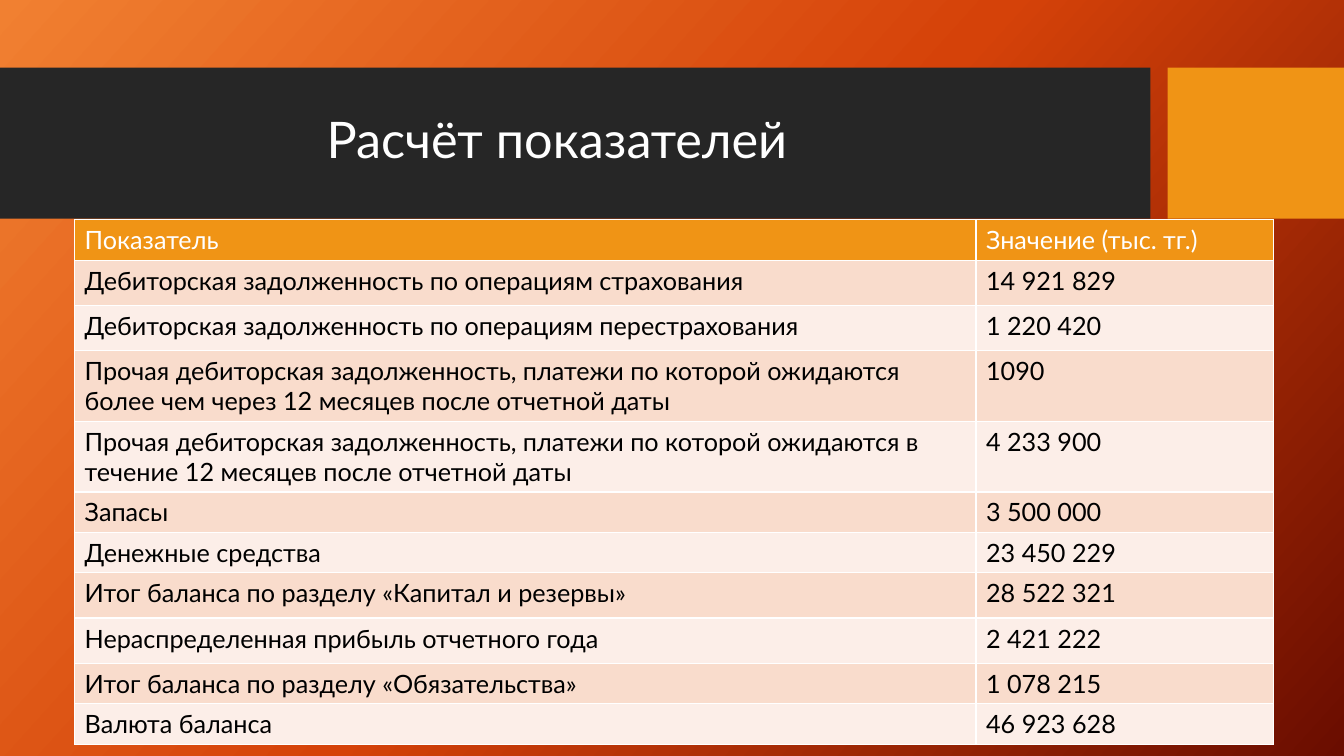
"""Build the slide with the table of balance sheet indicators."""
from copy import deepcopy
from typing import NamedTuple

from lxml.etree import SubElement
from pptx import Presentation
from pptx.dml.color import RGBColor
from pptx.enum.shapes import MSO_SHAPE
from pptx.enum.text import MSO_ANCHOR
from pptx.oxml.ns import qn
from pptx.slide import Slide
from pptx.table import _Cell
from pptx.text.text import _Paragraph
from pptx.util import Inches, Pt

FONT = "Lato"
WHITE = RGBColor(0xFF, 0xFF, 0xFF)
BLACK = RGBColor(0x00, 0x00, 0x00)
CHARCOAL = RGBColor(0x26, 0x26, 0x26)
AMBER = RGBColor(0xF0, 0x94, 0x15)
PEACH = RGBColor(0xF9, 0xDC, 0xCC)
PALE_PEACH = RGBColor(0xFC, 0xEE, 0xE8)
BACKGROUND_STOPS = (
    (0, RGBColor(0xF1, 0x80, 0x31)),
    (0.5, RGBColor(0xD5, 0x42, 0x09)),
    (1, RGBColor(0x6A, 0x0D, 0x00)),
)
COLUMN_WIDTHS = (8.94, 2.95)
COMPACT, MEDIUM, TALL = 0.4, 0.45, 0.7


class Band(NamedTuple):
    """A filled rectangle of the title strip."""

    left: float
    width: float
    color: RGBColor


class Indicator(NamedTuple):
    """A table row: its label, value and height."""

    label: str
    value: str
    height: float


BANDS = (Band(0, 11.41, CHARCOAL), Band(11.58, 1.75, AMBER))
INDICATORS = (
    Indicator("Показатель", "Значение (тыс. тг.)", COMPACT),
    Indicator("Дебиторская задолженность по операциям страхования", "14 921 829", MEDIUM),
    Indicator("Дебиторская задолженность по операциям перестрахования", "1 220 420", MEDIUM),
    Indicator(
        "Прочая дебиторская задолженность, платежи по которой ожидаются "
        "более чем через 12 месяцев после отчетной даты", "1090", TALL),
    Indicator(
        "Прочая дебиторская задолженность, платежи по которой ожидаются "
        "в течение 12 месяцев после отчетной даты", "4 233 900", TALL),
    Indicator("Запасы", "3 500 000", COMPACT),
    Indicator("Денежные средства", "23 450 229", COMPACT),
    Indicator("Итог баланса по разделу «Капитал и резервы»", "28 522 321", MEDIUM),
    Indicator("Нераспределенная прибыль отчетного года", "2 421 222", MEDIUM),
    Indicator("Итог баланса по разделу «Обязательства»", "1 078 215", COMPACT),
    Indicator("Валюта баланса", "46 923 628", COMPACT),
)


def paint_background(slide: Slide) -> None:
    """Fill the background with a diagonal three-stop gradient."""
    fill = slide.background.fill
    fill.gradient()
    fill.gradient_angle = 360 - 42
    stop_list = slide.element.xpath(".//a:gsLst")[0]
    stop_list.append(deepcopy(stop_list[0]))
    for stop, (position, color) in zip(fill.gradient_stops, BACKGROUND_STOPS):
        stop.position = position
        stop.color.rgb = color


def add_band(slide: Slide, band: Band) -> None:
    """Draw one rectangle of the title strip."""
    shape = slide.shapes.add_shape(
        MSO_SHAPE.RECTANGLE, Inches(band.left), Inches(0.67), Inches(band.width), Inches(1.5))
    shape.shadow.inherit = False
    shape.fill.solid()
    shape.fill.fore_color.rgb = band.color
    shape.line.fill.background()


def add_text(paragraph: _Paragraph, text: str, size: int, color: RGBColor) -> None:
    """Append a formatted run to a paragraph."""
    run = paragraph.add_run()
    run.text = text
    run.font.name = FONT
    run.font.size = Pt(size)
    run.font.color.rgb = color


def add_title(slide: Slide, text: str) -> None:
    """Place the title on the dark band."""
    box = slide.shapes.add_textbox(Inches(0.74), Inches(0.82), Inches(10.51), Inches(1.18))
    frame = box.text_frame
    frame.word_wrap = True
    frame.vertical_anchor = MSO_ANCHOR.MIDDLE
    frame.margin_left = Inches(2.5)
    paragraph = frame.paragraphs[0]
    paragraph.line_spacing = 0.9
    add_text(paragraph, text, 36, WHITE)


def style_cell(cell: _Cell, color: RGBColor) -> None:
    """Give a cell white borders and a solid fill."""
    properties = cell._tc.get_or_add_tcPr()
    for side in ("lnL", "lnR", "lnT", "lnB"):
        border = SubElement(properties, qn(f"a:{side}"), w=str(Pt(1)))
        solid = SubElement(border, qn("a:solidFill"))
        SubElement(solid, qn("a:srgbClr"), val=str(WHITE))
    cell.fill.solid()
    cell.fill.fore_color.rgb = color


def add_indicator_table(slide: Slide) -> None:
    """Draw the indicators with a header and alternating row fills."""
    height = sum(indicator.height for indicator in INDICATORS)
    table = slide.shapes.add_table(
        len(INDICATORS), len(COLUMN_WIDTHS), Inches(0.74), Inches(2.18),
        Inches(sum(COLUMN_WIDTHS)), Inches(height)).table
    table.horz_banding = False
    table.first_row = False
    for column, width in zip(table.columns, COLUMN_WIDTHS):
        column.width = Inches(width)
    for index, (row, indicator) in enumerate(zip(table.rows, INDICATORS)):
        row.height = Inches(indicator.height)
        row_fill = PEACH if index % 2 else PALE_PEACH
        fill, text_color = (row_fill, BLACK) if index else (AMBER, WHITE)
        for cell, text in zip(row.cells, (indicator.label, indicator.value)):
            style_cell(cell, fill)
            add_text(cell.text_frame.paragraphs[0], text, 18, text_color)


def main() -> None:
    """Assemble and save the presentation."""
    presentation = Presentation()
    presentation.slide_width = Inches(13.33)
    presentation.slide_height = Inches(7.5)
    slide = presentation.slides.add_slide(presentation.slide_layouts[6])
    paint_background(slide)
    for band in BANDS:
        add_band(slide, band)
    add_title(slide, "Расчёт показателей")
    add_indicator_table(slide)
    presentation.save("out.pptx")


main()
